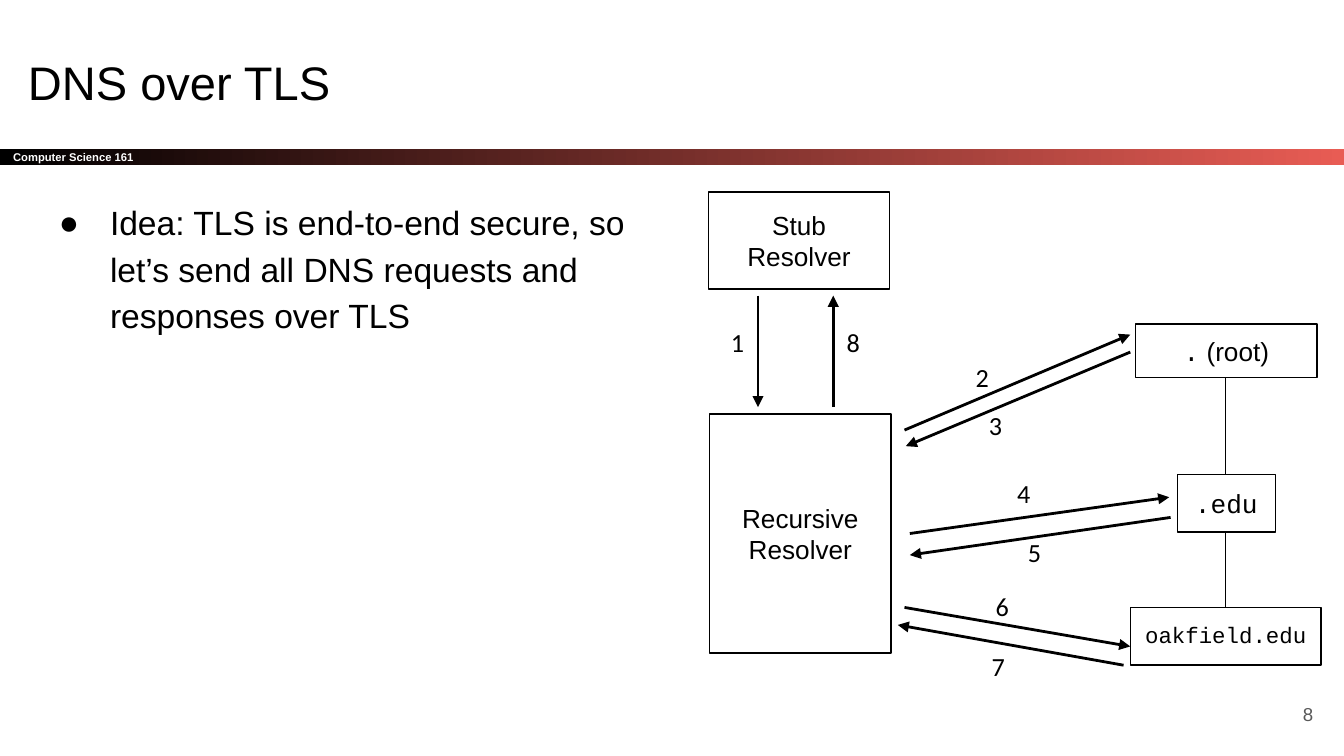
from lxml.etree import SubElement
from pptx import Presentation
from pptx.dml.color import RGBColor
from pptx.enum.shapes import MSO_CONNECTOR, MSO_SHAPE
from pptx.enum.text import MSO_ANCHOR, PP_ALIGN
from pptx.oxml.ns import qn
from pptx.util import Inches, Pt

BLACK = RGBColor(0x00, 0x00, 0x00)
WHITE = RGBColor(0xFF, 0xFF, 0xFF)
CORAL = RGBColor(0xE8, 0x5C, 0x54)
GRAY = RGBColor(0x59, 0x59, 0x59)

FRAME = {"word_wrap": True, "margin_left": Inches(0.1), "margin_right": Inches(0.1),
         "margin_top": Inches(0.1), "margin_bottom": Inches(0.1)}


def apply(target, values):
    for name, value in values.items():
        setattr(target, name, value)


def write(shape, runs, size, color=BLACK, bold=False, align=PP_ALIGN.LEFT,
          anchor=MSO_ANCHOR.TOP):
    """Fill a shape with one paragraph of (text, font name) runs."""
    apply(shape.text_frame, {**FRAME, "vertical_anchor": anchor})
    paragraph = shape.text_frame.paragraphs[0]
    paragraph.alignment = align
    for text, font_name in runs:
        run = paragraph.add_run()
        run.text = text
        apply(run.font, {"name": font_name, "size": Pt(size), "bold": bold})
        run.font.color.rgb = color
    return paragraph


def add_text(slide, box, runs, size, **style):
    return write(slide.shapes.add_textbox(*map(Inches, box)), runs, size, **style)


def add_rectangle(slide, box):
    rectangle = slide.shapes.add_shape(MSO_SHAPE.RECTANGLE, *map(Inches, box))
    rectangle.shadow.inherit = False
    return rectangle


def add_line(slide, start, end, width, arrow=False):
    line = slide.shapes.add_connector(MSO_CONNECTOR.STRAIGHT, *map(Inches, (*start, *end)))
    line.line.color.rgb = BLACK
    line.line.width = Pt(width)
    if arrow:
        SubElement(line.line._get_or_add_ln(), qn("a:tailEnd"), type="triangle")
    SubElement(line._element.spPr, qn("a:effectLst"))


def add_course_band(slide, box):
    band = add_rectangle(slide, box)
    band.line.fill.background()
    band.fill.gradient()
    band.fill.gradient_angle = 0
    for stop, color, position in zip(band.fill.gradient_stops, (BLACK, CORAL), (0, 1)):
        stop.color.rgb = color
        stop.position = position
    write(band, [("Computer Science 161", "Arial")], 6, color=WHITE, bold=True,
          anchor=MSO_ANCHOR.MIDDLE)


def add_idea(slide, box):
    idea = add_text(slide, box, [("Idea: TLS is end-to-end secure, so let’s send all DNS "
                                  "requests and responses over TLS", "Arial")], 18)
    idea.line_spacing = 1.15
    properties = idea._p.get_or_add_pPr()
    properties.set("marL", str(Inches(0.5)))
    properties.set("indent", str(Inches(-0.38)))
    SubElement(properties, qn("a:buSzPts"), val="1800")
    SubElement(properties, qn("a:buFont"), typeface="Arial")
    SubElement(properties, qn("a:buChar"), char="●")


def add_lookup_diagram(slide, left, top):
    """Resolvers, name servers and the numbered messages between them."""
    def at(x, y):
        return left + x, top + y

    # Resolvers and name servers
    middle, upper = MSO_ANCHOR.MIDDLE, MSO_ANCHOR.TOP
    nodes = [
        ((0.07, 0.03), (1.35, 0.72), [("Stub Resolver", "Arial")], 14, middle),
        ((0.08, 1.68), (1.35, 1.78), [("Recursive Resolver", "Arial")], 14, middle),
        ((3.25, 1.01), (1.35, 0.4), [(".", "Courier New"), (" (root)", "Arial")], 14, middle),
        ((3.56, 2.13), (0.73, 0.43), [(".edu", "Courier New")], 14, upper),
        ((3.21, 3.12), (1.42, 0.43), [("oakfield.edu", "Courier New")], 12, upper),
    ]
    for corner, extent, runs, size, anchor in nodes:
        node = add_rectangle(slide, (*at(*corner), *extent))
        node.fill.background()
        node.line.color.rgb = BLACK
        node.line.width = Pt(0.75)
        write(node, runs, size, align=PP_ALIGN.CENTER, anchor=anchor)

    # Hierarchy of name servers
    for y_start, y_end in ((1.41, 2.13), (2.56, 3.12)):
        add_line(slide, at(3.92, y_start), at(3.92, y_end), 0.75)

    # Messages in order: start, end, label corner
    messages = [
        ((0.44, 0.8), (0.44, 1.63), (0.14, 0.93)),
        ((1.53, 1.8), (3.21, 1.09), (1.96, 1.19)),
        ((3.21, 1.22), (1.54, 1.92), (2.06, 1.55)),
        ((1.57, 2.57), (3.5, 2.3), (2.27, 2.05)),
        ((3.51, 2.45), (1.57, 2.73), (2.35, 2.49)),
        ((1.53, 3.12), (3.21, 3.41), (2.11, 2.89)),
        ((3.16, 3.55), (1.48, 3.25), (2.08, 3.34)),
        ((1, 1.63), (1, 0.8), (1, 0.93)),
    ]
    for number, (start, end, label) in enumerate(messages, 1):
        add_line(slide, at(*start), at(*end), 1.5, arrow=True)
        add_text(slide, (*at(*label), 0.45, 0.43), [(str(number), "Calibri")], 14)


# Widescreen page, 16 to 9
presentation = Presentation()
apply(presentation, {"slide_width": Inches(10), "slide_height": Inches(10 * 9 / 16)})
slide = presentation.slides.add_slide(presentation.slide_layouts[6])

add_course_band(slide, (0, 1.11, 10, 0.12))
add_text(slide, (0.11, 0.3, 9.32, 0.63), [("DNS over TLS", "Arial")], 25.2)
add_idea(slide, (0.22, 1.36, 4.88, 4.12))
add_lookup_diagram(slide, 5.2, 1.4)
# Page number
add_text(slide, (9.27, 5.1, 0.6, 0.43), [("8", "Arial")], 10, color=GRAY,
         align=PP_ALIGN.RIGHT, anchor=MSO_ANCHOR.MIDDLE)

presentation.save("out.pptx")
